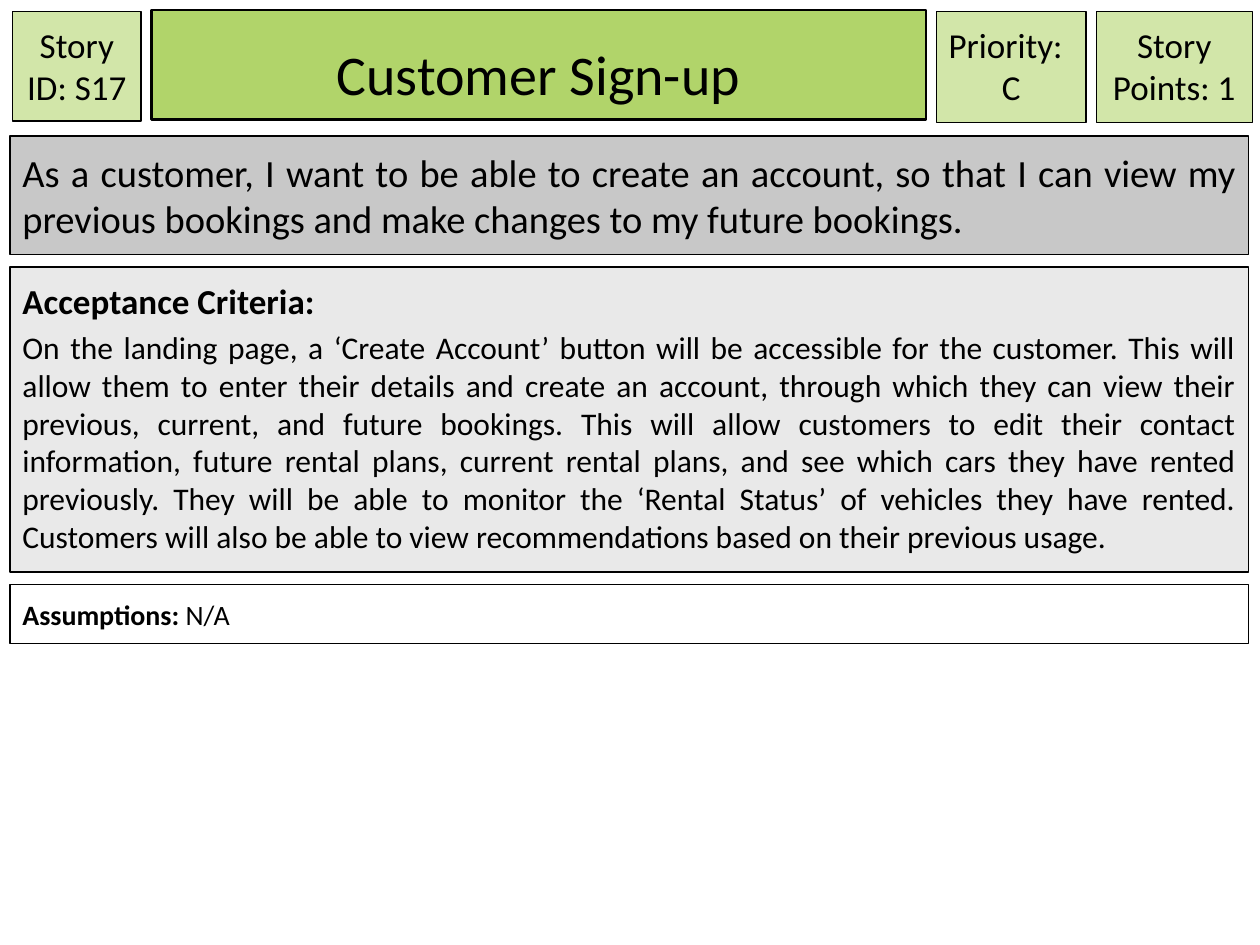
from pptx import Presentation
from pptx.dml.color import RGBColor
from pptx.enum import shapes, text
from pptx.util import Inches, Pt

BLACK = RGBColor(0x00, 0x00, 0x00)
WHITE = RGBColor(0xFF, 0xFF, 0xFF)
GREEN = RGBColor(0xB1, 0xD4, 0x6A)
LIGHT_GREEN = RGBColor(0xD2, 0xE6, 0xA9)
GRAY = RGBColor(0xC8, 0xC8, 0xC8)
LIGHT_GRAY = RGBColor(0xE9, 0xE9, 0xE9)

LEFT, CENTER, JUSTIFY = (text.PP_ALIGN.LEFT, text.PP_ALIGN.CENTER,
                         text.PP_ALIGN.JUSTIFY)

STORY = ("As a customer, I want to be able to create an account, so that I can "
         "view my previous bookings and make changes to my future bookings.")
CRITERIA = (
    "On the landing page, a ‘Create Account’ button will be accessible for the "
    "customer. This will allow them to enter their details and create an account, "
    "through which they can view their previous, current, and future bookings. "
    "This will allow customers to edit their contact information, future rental "
    "plans, current rental plans, and see which cars they have rented previously. "
    "They will be able to monitor the ‘Rental Status’ of vehicles they have rented. "
    "Customers will also be able to view recommendations based on their previous "
    "usage.")

# Paragraph: (alignment, space before, [(text, size, bold), ...])
# Header card: (left, top, width, height, fill, paragraphs)
HEADER = [
    (0.1, 0.09, 1.02, 0.87, LIGHT_GREEN, [(CENTER, 0, [("Story ID: S17", 20, False)])]),
    (1.2, 0.08, 6.15, 0.87, GREEN, [(CENTER, 0, [("Customer Sign-up", 32, False)])]),
    (7.43, 0.09, 1.19, 0.88, LIGHT_GREEN, [(LEFT, 0, [("Priority:", 20, False)]),
                                           (CENTER, 0, [("C", 20, False)])]),
    (8.7, 0.09, 1.24, 0.88, LIGHT_GREEN, [(CENTER, 0, [("Story Points: 1", 20, False)])]),
]
TITLE_INDEX = 1

# Full-width panel: (height, fill, paragraphs)
PANELS = [
    (0.94, GRAY, [(JUSTIFY, 0, [(STORY, 22, False)])]),
    (2.42, LIGHT_GRAY, [(LEFT, 0, [("Acceptance Criteria:", 20, True)]),
                        (JUSTIFY, 3.6, [(CRITERIA, 18, False)])]),
    (0.47, WHITE, [(JUSTIFY, 0, [("Assumptions: ", 16, True), ("N/A", 16, False)])]),
]
PANEL_LEFT, PANEL_TOP, PANEL_WIDTH, PANEL_GAP = 0.08, 1.08, 9.83, 0.1


def add_card(slide, left, top, width, height, fill, paragraphs):
    shape = slide.shapes.add_shape(
        shapes.MSO_SHAPE.RECTANGLE,
        Inches(left), Inches(top), Inches(width), Inches(height))
    shape.shadow.inherit = False
    shape.fill.solid()
    shape.fill.fore_color.rgb = fill
    shape.line.color.rgb = BLACK
    shape.line.width = Pt(0.75)

    frame = shape.text_frame
    frame.word_wrap = True
    frame.vertical_anchor = text.MSO_ANCHOR.TOP
    frame.margin_left = frame.margin_right = Inches(0.1)
    frame.margin_top = frame.margin_bottom = Inches(0.1)
    for index, (alignment, space_before, runs) in enumerate(paragraphs):
        paragraph = frame.add_paragraph() if index else frame.paragraphs[0]
        paragraph.alignment = alignment
        paragraph.space_before = Pt(space_before)
        for words, size, bold in runs:
            run = paragraph.add_run()
            run.text = words
            run.font.name = "Calibri"
            run.font.size = Pt(size)
            run.font.bold = bold
            run.font.color.rgb = BLACK
    return shape


def main():
    presentation = Presentation()
    presentation.slide_width, presentation.slide_height = Inches(10), Inches(7.5)
    slide = presentation.slides.add_slide(presentation.slide_layouts[6])

    # Header row, with a heavier frame around the title
    cards = [add_card(slide, *card) for card in HEADER]
    title = cards[TITLE_INDEX]
    title.line.width = Pt(1.5)
    title.text_frame.vertical_anchor = text.MSO_ANCHOR.BOTTOM

    # Stacked panels
    top = PANEL_TOP
    for height, fill, paragraphs in PANELS:
        add_card(slide, PANEL_LEFT, top, PANEL_WIDTH, height, fill, paragraphs)
        top += height + PANEL_GAP

    presentation.save("out.pptx")


if __name__ == "__main__":
    main()
